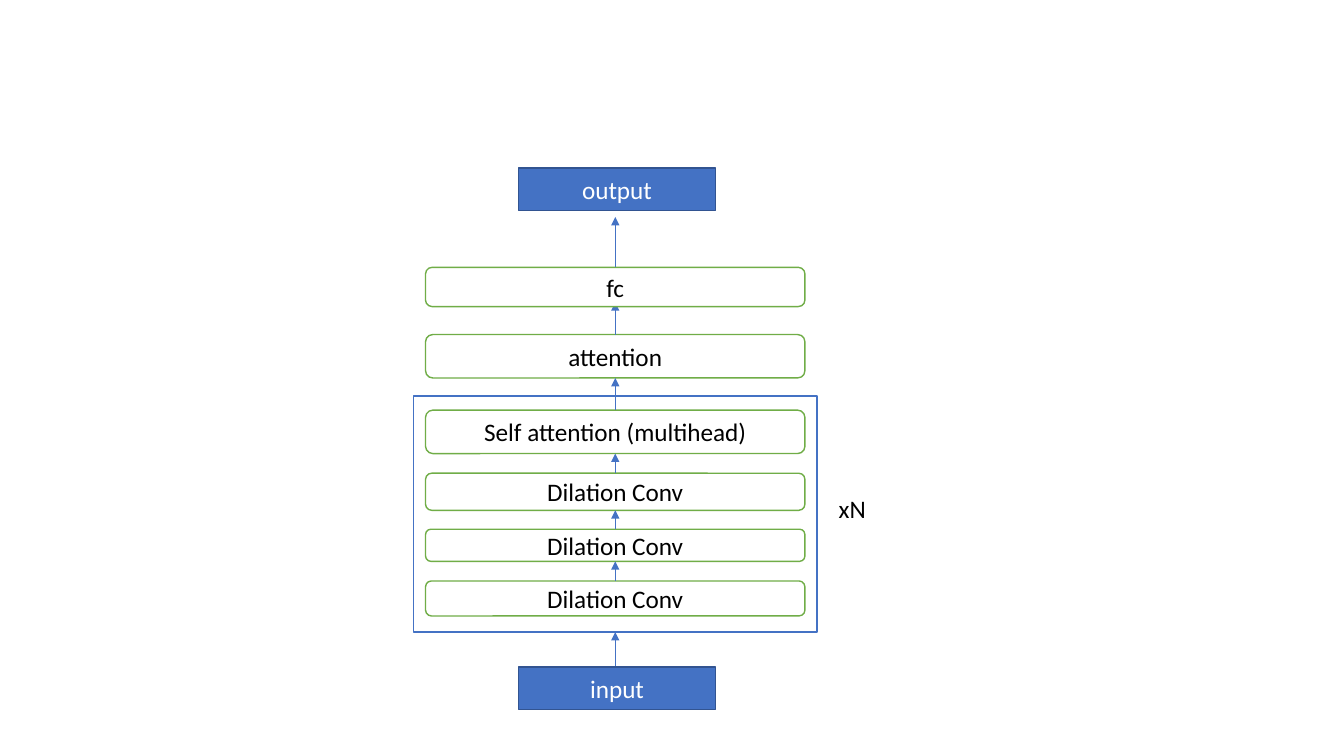
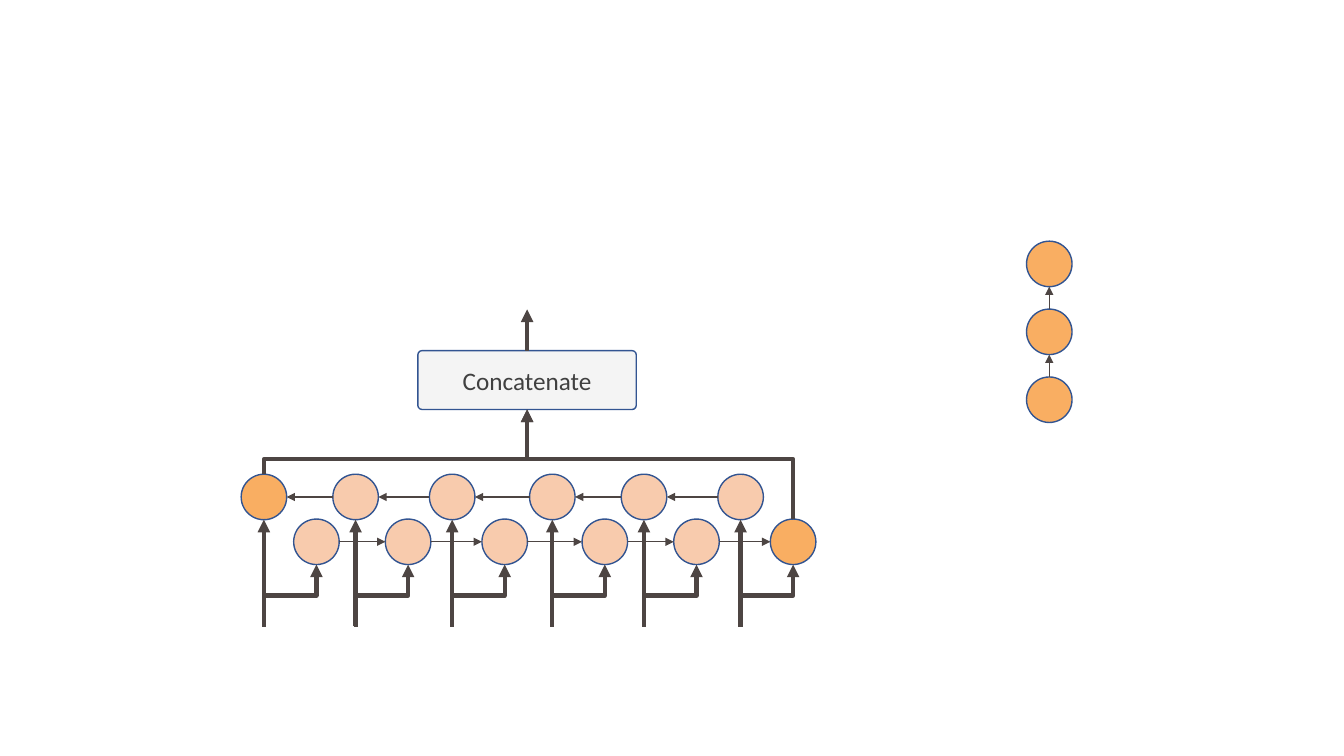
"""Draw a dilated-convolution network and a bidirectional recurrent network."""
from pptx import Presentation
from pptx.dml.color import RGBColor
from pptx.enum.shapes import MSO_CONNECTOR, MSO_SHAPE
from pptx.enum.text import MSO_ANCHOR, PP_ALIGN
from pptx.oxml.ns import qn
from pptx.util import Pt
from lxml.etree import SubElement

COLORS = {
    "white": "FFFFFF", "black": "000000", "blue": "4472C4", "navy": "325491",
    "green": "70AD47", "orange": "F9AE62", "peach": "F8CBAD",
    "gray": "F4F4F4", "ink": "404040", "wire": "4D4543",
}
TOP, BOTTOM = 0, 2


def color(name):
    """Return the named colour."""
    return RGBColor.from_string(COLORS[name])


def write(tf, text, ink="black", size=18, font="Calibri", align=PP_ALIGN.CENTER,
          anchor=MSO_ANCHOR.MIDDLE):
    """Put one formatted line of text in a text frame."""
    tf.word_wrap = True
    tf.vertical_anchor = anchor
    p = tf.paragraphs[0]
    p.alignment = align
    r = p.add_run()
    r.text = text
    r.font.name, r.font.size = font, Pt(size)
    r.font.color.rgb = color(ink)


class Diagram:
    """Hold the drawing style and the current slide."""

    radius = 16.25

    def __init__(self, prs):
        """Start with no slide."""
        self.prs = prs
        self.s = None

    def new_slide(self):
        """Add a blank slide and make it current."""
        self.s = self.prs.slides.add_slide(self.prs.slide_layouts[6])

    def box(self, x, y, w, h, text="", kind=MSO_SHAPE.RECTANGLE, fill="white",
            line="navy", ink="black"):
        """Draw a filled, outlined shape with optional text."""
        sp = self.s.shapes.add_shape(kind, Pt(x), Pt(y), Pt(w), Pt(h))
        sp.shadow.inherit = False
        sp.fill.solid()
        sp.fill.fore_color.rgb = color(fill)
        sp.line.color.rgb = color(line)
        sp.line.width = Pt(1)
        if text:
            write(sp.text_frame, text, ink=ink)
        return sp

    def layer(self, x, y, w, h, text):
        """Draw a rounded network layer."""
        return self.box(x, y, w, h, text, MSO_SHAPE.ROUNDED_RECTANGLE, line="green")

    def cell(self, x, y, fill):
        """Draw a circular cell around its centre."""
        d = 2 * self.radius
        self.box(x - self.radius, y - self.radius, d, d, kind=MSO_SHAPE.OVAL, fill=fill)

    def label(self, x, y, w, h, text):
        """Draw free text."""
        tb = self.s.shapes.add_textbox(Pt(x), Pt(y), Pt(w), Pt(h))
        write(tb.text_frame, text, align=PP_ALIGN.LEFT, anchor=MSO_ANCHOR.TOP)

    def arrow(self, x1, y1, x2, y2, line="wire", width=1, begin=None, end=None,
              kind=MSO_CONNECTOR.STRAIGHT):
        """Draw an arrow, joined to a box's top at its start or bottom at its end."""
        c = self.s.shapes.add_connector(kind, Pt(x1), Pt(y1), Pt(x2), Pt(y2))
        c.line.color.rgb = color(line)
        c.line.width = Pt(width)
        SubElement(c.line._get_or_add_ln(), qn("a:tailEnd"), type="triangle")
        SubElement(c.element.spPr, qn("a:effectLst"))
        if begin is not None:
            c.begin_connect(begin, TOP)
        if end is not None:
            c.end_connect(end, BOTTOM)
        return c

    def elbow(self, x1, y1, x2, y2, bend):
        """Draw a thick arrow that rises, turns at height bend and rises again."""
        c = self.arrow(x1, y1, x2, y2, width=3, kind=MSO_CONNECTOR.ELBOW)
        rise, run = y1 - y2, abs(x2 - x1)
        spPr = c.element.spPr
        for flip in ("flipH", "flipV"):
            spPr.xfrm.attrib.pop(flip, None)
        c.left, c.top = Pt((x1 + x2 - rise) / 2), Pt((y1 + y2 - run) / 2)
        c.width, c.height = Pt(rise), Pt(run)
        spPr.xfrm.set("rot", "16200000")
        if x2 < x1:
            spPr.xfrm.set("flipV", "1")
        geom = spPr.find(qn("a:prstGeom"))
        share = round((y1 - bend) / rise * 100000)
        SubElement(geom.find(qn("a:avLst")), qn("a:gd"), name="adj1", fmla=f"val {share}")


def network_slide(d):
    """Draw the stack of convolution and attention layers."""
    d.new_slide()
    mid, left, width = 439.5, 304, 271
    thin = {"line": "blue", "width": 0.5}
    frame = d.box(295.5, 283, 288, 168.5, line="blue")
    rows = [(415, 25, "Dilation Conv"), (378, 23, "Dilation Conv"),
            (338, 26.5, "Dilation Conv"), (293, 31, "Self attention (multihead)"),
            (239, 31, "attention")]
    layers = [d.layer(left, y, width, h, text) for y, h, text in rows]
    for lower, upper in zip(layers, layers[1:]):
        d.arrow(mid, 0, mid, 0, begin=lower, end=upper, **thin)
    d.arrow(mid, 239, mid, 216, begin=layers[-1], **thin)
    fc = d.layer(left, 191, width, 28, "fc")
    d.arrow(mid, 191, mid, 155, begin=fc, **thin)
    d.arrow(mid, 476.5, mid, 451.5, end=frame, **thin)
    for y, text in ((476.5, "input"), (120, "output")):
        d.box(370.5, y, 140.5, 30.5, text, fill="blue", ink="white")
    d.label(592, 349, 43, 29, "xN")


def recurrent_slide(d):
    """Draw the two-way chain of cells and the single column of cells."""
    d.new_slide()
    r = d.radius
    columns = [188.5, 254, 323, 394.5, 460, 529]
    shift, back_y, forward_y, foot = 37.5, 355, 387, 447.5
    last = len(columns) - 1
    for i, x in enumerate(columns):
        d.cell(x, back_y, "orange" if i == 0 else "peach")
        d.cell(x + shift, forward_y, "orange" if i == last else "peach")
        d.arrow(x, foot, x, back_y + r, width=3)
        d.elbow(x, foot, x + shift, forward_y + r, (foot + forward_y + r) / 2)
    for a, b in zip(columns, columns[1:]):
        d.arrow(b - r, back_y, a + r, back_y)
        d.arrow(a + shift + r, forward_y, b + shift - r, forward_y)

    mid, top, height = 376.5, 250.5, 42
    joint = d.box(mid - 78, top, 156, height, "Concatenate", MSO_SHAPE.ROUNDED_RECTANGLE,
                  fill="gray", ink="ink")
    joint.adjustments[0] = 0.07
    for x, y in ((columns[0], back_y), (columns[-1] + shift, forward_y)):
        d.elbow(x, y - r, mid, top + height, 328)
    d.arrow(mid, top, mid, 221, width=3, begin=joint)

    x, first, step = 749.5, 188.5, 48.5
    for i in range(3):
        y = first + i * step
        d.cell(x, y, "orange")
        if i:
            d.arrow(x, y - r, x, y - step + r)


def main():
    """Build and save the presentation."""
    prs = Presentation()
    prs.slide_width, prs.slide_height = Pt(960), Pt(540)
    d = Diagram(prs)
    network_slide(d)
    recurrent_slide(d)
    prs.save("out.pptx")


if __name__ == "__main__":
    main()
